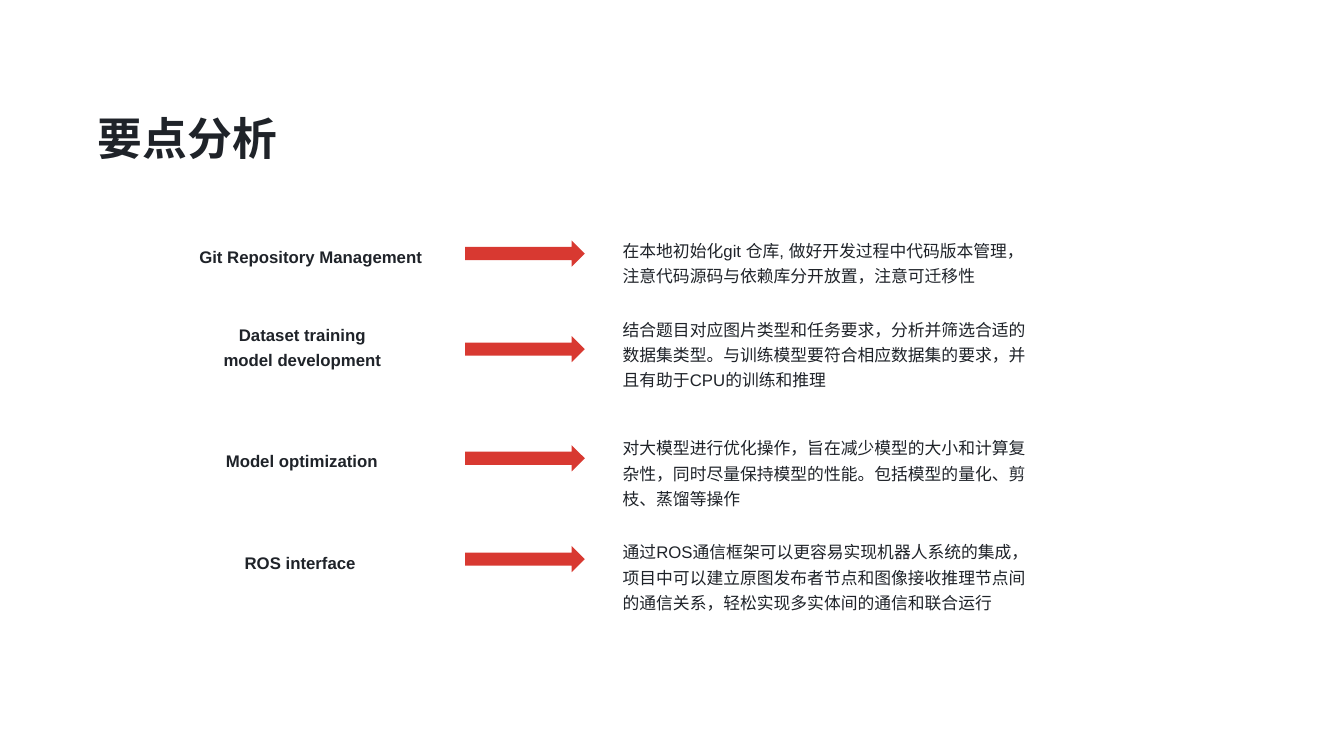
from lxml.etree import SubElement
from pptx import Presentation
from pptx.dml.color import RGBColor
from pptx.enum.shapes import MSO_SHAPE
from pptx.enum.text import MSO_ANCHOR, PP_ALIGN
from pptx.oxml.ns import qn
from pptx.util import Emu, Pt

PX = 9525
INK = "1F2329"
RED = "D83931"
LEFT, CENTER = PP_ALIGN.LEFT, PP_ALIGN.CENTER


def color(value):
    return RGBColor.from_string(value)


def add_text(box, lines, inset=13, align=LEFT, name="Arial", size=12, bold=False):
    """Place lines of text in a box given as left, top, width, height in px."""
    frame = slide.shapes.add_textbox(*(Emu(n * PX) for n in box)).text_frame
    margins = {f"margin_{side}": Emu(inset * PX) for side in ("left", "top", "right", "bottom")}
    for key, value in {"word_wrap": True, "vertical_anchor": MSO_ANCHOR.MIDDLE, **margins}.items():
        setattr(frame, key, value)
    for index, line in enumerate(lines):
        paragraph = frame.paragraphs[0] if index == 0 else frame.add_paragraph()
        paragraph.alignment = align
        paragraph.line_spacing = 1.25
        run = paragraph.add_run()
        run.text = line
        for key, value in {"name": name, "size": Pt(size), "bold": bold}.items():
            setattr(run.font, key, value)
        run.font.color.rgb = color(INK)
        # East Asian characters take their font from a separate element
        SubElement(run.font._element, qn("a:ea"), typeface=name)


presentation = Presentation()
presentation.slide_width = Emu(1280 * PX)
presentation.slide_height = Emu(720 * PX)
slide = presentation.slides.add_slide(presentation.slide_layouts[6])

add_text((93, 93, 1014, 64), ["要点分析"], inset=0, name="Noto Sans CJK SC", size=32, bold=True)

# label box, label alignment, label lines, arrow top, detail top, detail height, detail
key_points = [
    ((171, 213, 250, 59), CENTER, ["Git Repository Management"], 229, 211, 75,
     "在本地初始化git 仓库, 做好开发过程中代码版本管理，注意代码源码与依赖库分开放置，注意可迁移性"),
    ((171, 291, 234, 75), CENTER, ["Dataset training", "model development"], 320, 286, 99,
     "结合题目对应图片类型和任务要求，分析并筛选合适的数据集类型。与训练模型要符合相应数据集的要求，并且有助于CPU的训练和推理"),
    ((187, 411, 201, 51), CENTER, ["Model optimization"], 424, 399, 99,
     "对大模型进行优化操作，旨在减少模型的大小和计算复杂性，同时尽量保持模型的性能。包括模型的量化、剪枝、蒸馏等操作"),
    ((220, 508, 201, 51), LEFT, ["ROS interface"], 520, 498, 99,
     "通过ROS通信框架可以更容易实现机器人系统的集成，项目中可以建立原图发布者节点和图像接收推理节点间的通信关系，轻松实现多实体间的通信和联合运行"),
]

for label_box, align, label, arrow_top, detail_top, detail_height, detail in key_points:
    add_text(label_box, label, align=align, bold=True)
    arrow = slide.shapes.add_shape(
        MSO_SHAPE.RIGHT_ARROW, *(Emu(n * PX) for n in (443, arrow_top, 114, 25)))
    arrow.shadow.inherit = False
    arrow.fill.solid()
    arrow.fill.fore_color.rgb = color(RED)
    arrow.line.fill.background()
    add_text((580, detail_top, 413, detail_height), [detail])

presentation.save("out.pptx")
